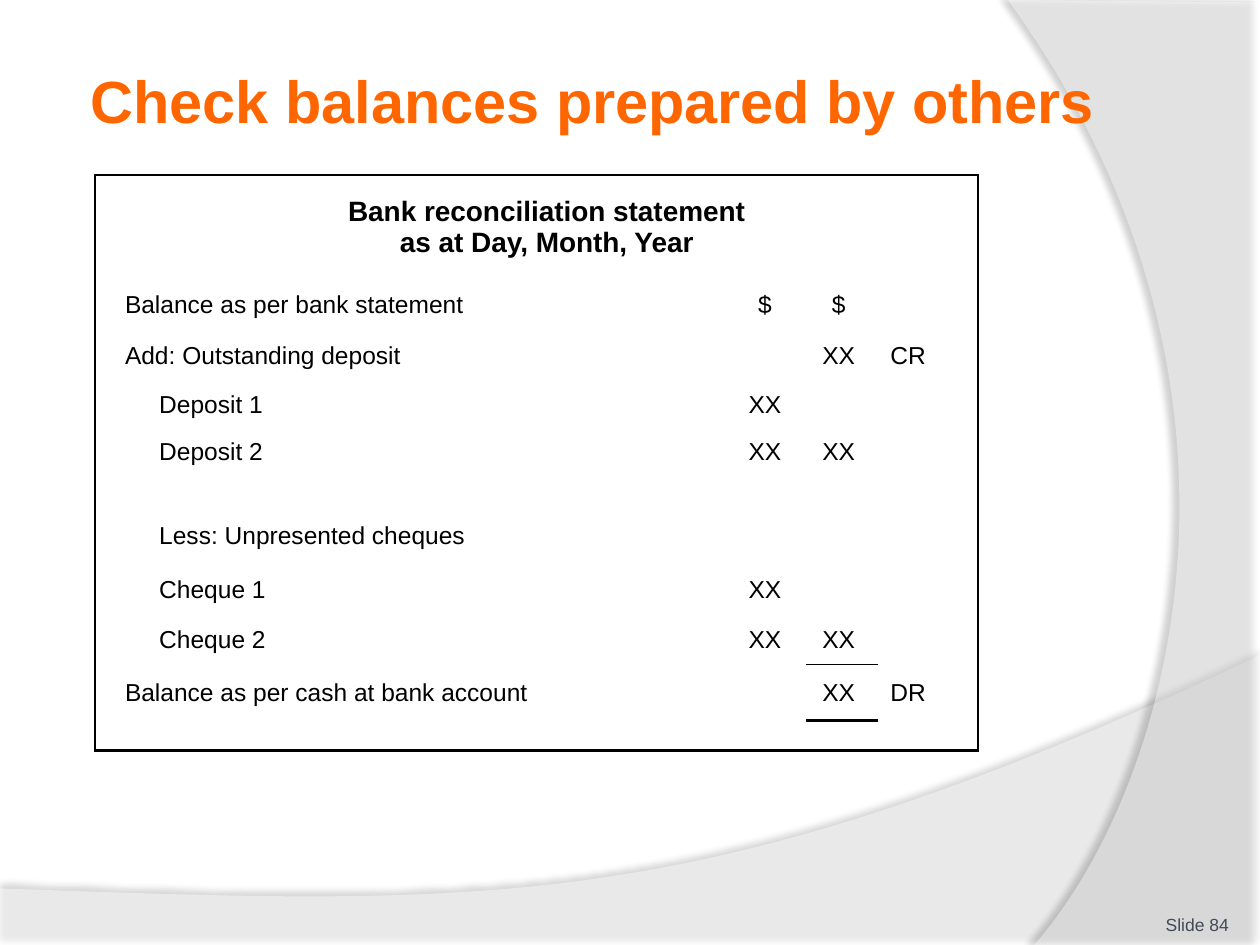
from lxml import etree
from pptx import Presentation, util as u
from pptx.dml.color import RGBColor
from pptx.enum import text
from pptx.oxml import parse_xml
from pptx.oxml.ns import qn, nsdecls

Cm, Pt = u.Cm, u.Pt
WHITE = RGBColor(0xFF, 0xFF, 0xFF)
BLACK = RGBColor(0, 0, 0)
ORANGE = RGBColor(0xFF, 0x66, 0x00)
SLATE = RGBColor(0x43, 0x49, 0x59)
CENTER, LEFT, RIGHT = text.PP_ALIGN.CENTER, text.PP_ALIGN.LEFT, text.PP_ALIGN.RIGHT
MIDDLE, BOTTOM = text.MSO_ANCHOR.MIDDLE, text.MSO_ANCHOR.BOTTOM


def add_run(p, words, size, color, bold=False):
    r = p.add_run()
    r.text = words
    r.font.name, r.font.size, r.font.bold = "Arial", Pt(size), bold
    r.font.color.rgb = color


def bezier(p0, p1, p2, p3, n=60):
    for i in range(1, n + 1):
        t = i / n
        yield tuple((1 - t) ** 3 * a + 3 * t * (1 - t) ** 2 * b + 3 * t * t * (1 - t) * c + t ** 3 * d
                    for a, b, c, d in zip(p0, p1, p2, p3))


prs = Presentation()
prs.slide_width, prs.slide_height = Cm(25.4), Cm(19.05)
s = prs.slides.add_slide(prs.slide_layouts[6])

# Background swooshes: corners, curve, fill opacity %, shadow opacity %, blur, distance, direction
swooshes = [
    ([(0, 17.91), (0, 19.08), (25.4, 19.08), (25.4, 13.21)],
     [(25.4, 13.21), (14.2, 18.52), (9.93, 18.26), (0, 17.91)], 45, 35, 4, 3.5, 270),
    ([(25.4, 0.05), (25.4, 19.05), (20.85, 19.05)],
     [(20.85, 19.05), (23.75, 15.72), (25.86, 7.62), (20.32, 0)], 40, 45, 4, 4, 180),
]
for corners, curve, opacity, shade, blur, dist, angle in swooshes:
    points = [(Cm(x), Cm(y)) for x, y in corners + list(bezier(*curve))]
    fb = s.shapes.build_freeform(*points[0])
    fb.add_line_segments(points[1:], close=True)
    sp = fb.convert_to_shape()
    sp.line.fill.background()
    sp.fill.solid()
    sp.fill.fore_color.rgb = WHITE
    color = sp._element.spPr.find(".//" + qn("a:srgbClr"))
    etree.SubElement(color, qn("a:alpha"), val=str(opacity * 1000))
    sp._element.spPr.append(parse_xml(
        f'<a:effectLst {nsdecls("a")}><a:outerShdw blurRad="{Pt(blur)}" dist="{Pt(dist)}" '
        f'dir="{angle * 60000}" algn="ctr" rotWithShape="0"><a:srgbClr val="{BLACK}">'
        f'<a:alpha val="{shade * 1000}"/></a:srgbClr></a:outerShdw></a:effectLst>'))

# Title and slide number
labels = [
    ("Check balances prepared by others", (1.7, 0.91, 20.75, 2.21), 0.13, 34, ORANGE, True, LEFT, MIDDLE),
    ("Slide 84", (22.66, 17.83, 2.11, 1.02), 0, 10, SLATE, False, RIGHT, BOTTOM),
]
for words, box, inset, size, color, bold, align, anchor in labels:
    tf = s.shapes.add_textbox(*[Cm(v) for v in box]).text_frame
    tf.word_wrap, tf.vertical_anchor = True, anchor
    tf.margin_left = tf.margin_right = tf.margin_top = tf.margin_bottom = Cm(inset)
    p = tf.paragraphs[0]
    p.alignment = align
    add_run(p, words, size, color, bold)

# Reconciliation statement: indent level, label, then the three value columns
rows = [
    (0, "", "", "", ""),
    (0, "Balance as per bank statement", "$ ", "$ ", ""),
    (0, "Add: Outstanding deposit", "", "XX ", "CR "),
    (1, "Deposit 1", "XX ", "", ""),
    (1, "Deposit 2", "XX ", "XX ", ""),
    (0, "", "", "", ""),
    (1, "Less: Unpresented cheques", "", "", ""),
    (1, "Cheque 1", "XX ", "", ""),
    (1, "Cheque 2", "XX ", "XX ", ""),
    (0, "Balance as per cash at bank account", "", "XX ", "DR "),
    (0, "", "", "", ""),
]
widths = [0.58, 12.24, 1.52, 1.45, 1.35, 0.66]
heights = [2.06, 1.07, 1.02, 0.94, 0.94, 0.66, 1.14, 1.02, 1.02, 1.12, 0.61]
last_row, last_col = len(heights) - 1, len(widths) - 1
rules = {(9, 3): 0.5, (10, 3): 2}  # line above the total and line below it

tbl = s.shapes.add_table(len(heights), len(widths), Cm(1.91), Cm(3.53),
                         Cm(sum(widths)), Cm(sum(heights))).table
tbl.first_row = tbl.horz_banding = False
for col, w in zip(tbl.columns, widths):
    col.width = Cm(w)
for row, h in zip(tbl.rows, heights):
    row.height = Cm(h)
tbl.cell(0, 1).merge(tbl.cell(0, last_col))

for i, (level, *values) in enumerate(rows):
    for j, words in enumerate(["", *values, ""]):
        cell = tbl.cell(i, j)
        cell.fill.background()
        cell.vertical_anchor = MIDDLE
        cell.margin_left = Cm(0.03 + (0.69 * level if j == 1 else 0))
        cell.margin_right = cell.margin_top = Cm(0.03)
        cell.margin_bottom = 0
        p = cell.text_frame.paragraphs[0]
        p.alignment = LEFT if j == 1 else CENTER
        if words:
            add_run(p, words, 14, BLACK)
        elif (i, j) != (0, 1):
            etree.SubElement(p._p, qn("a:endParaRPr"), sz="1000")

        # Outer frame and total rules
        right_edge = j == last_col or (i, j) == (0, 1)
        sides = {
            "lnL": 1.5 if j == 0 else 0,
            "lnR": 1.5 if right_edge else 0,
            "lnT": 1.5 if i == 0 else rules.get((i, j), 0),
            "lnB": 1.5 if i == last_row else rules.get((i + 1, j), 0),
        }
        for k, (side, width) in enumerate(sides.items()):
            fill = f'<a:solidFill><a:srgbClr val="{BLACK}"/></a:solidFill>' if width else "<a:noFill/>"
            cell._tc.get_or_add_tcPr().insert(k, parse_xml(
                f'<a:{side} {nsdecls("a")} w="{Pt(width)}">{fill}</a:{side}>'))

# Statement heading
p = tbl.cell(0, 1).text_frame.paragraphs[0]
p.alignment = CENTER
add_run(p, "Bank reconciliation statement ", 16, BLACK, True)
p.add_line_break()
add_run(p, "as at Day, Month, Year ", 16, BLACK, True)

prs.save("out.pptx")
